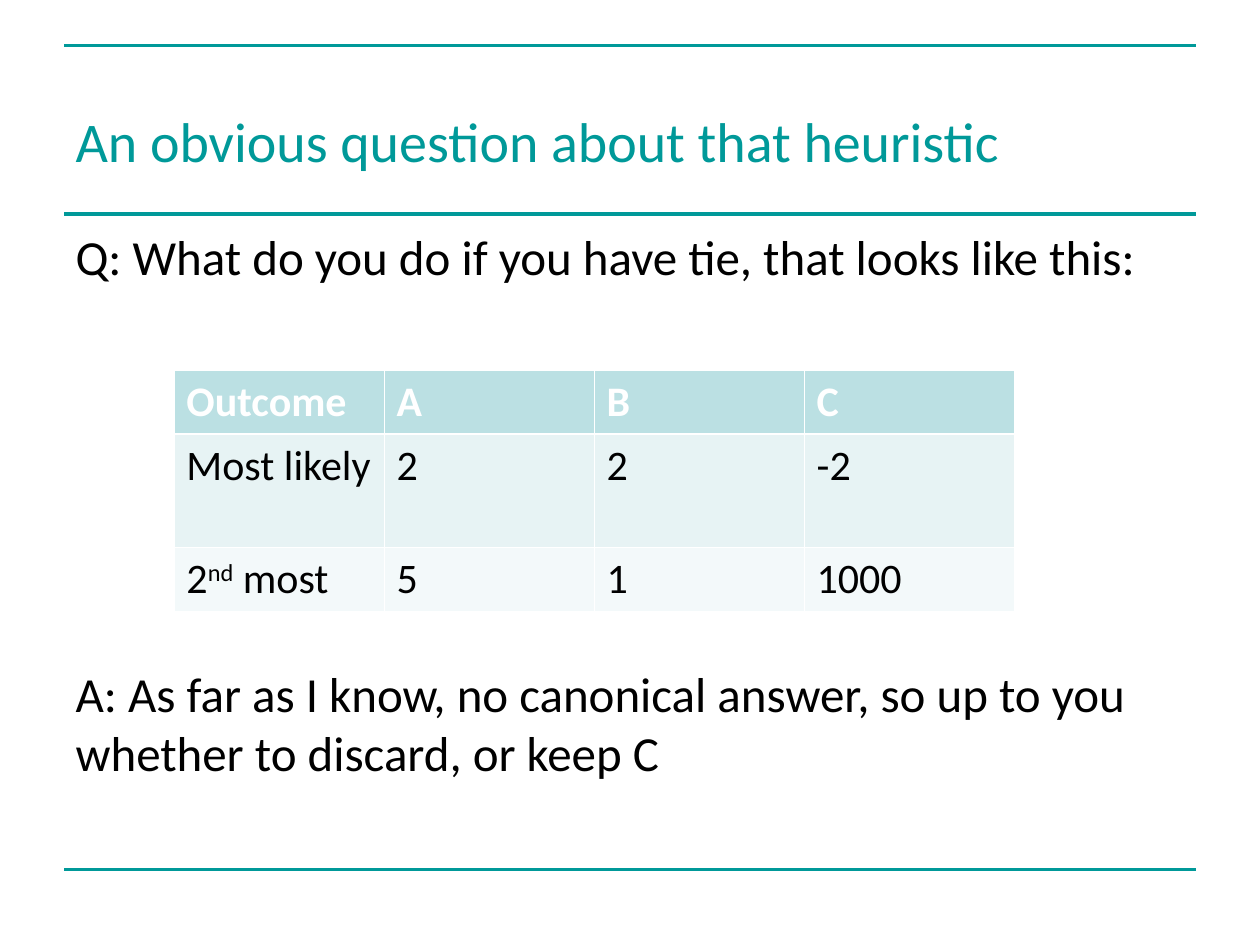
import pptx
import pptx.dml.color
import pptx.enum.shapes
import pptx.enum.text
import pptx.oxml.ns
import pptx.util
from lxml import etree
from pptx.util import Inches

COLORS = {"teal": "009999", "text": "000000", "white": "FFFFFF",
          "header": "BBE0E3", "most_likely": "E7F3F4", "second_most": "F3F9FA"}
qn = pptx.oxml.ns.qn


def rgb(name):
    return pptx.dml.color.RGBColor.from_string(COLORS[name])


def style(paragraph, size, color, bold=False):
    for run in paragraph.runs:
        run.font.name = "Calibri"
        run.font.size = pptx.util.Pt(size)
        run.font.bold = bold
        run.font.color.rgb = rgb(color)


deck = pptx.Presentation()
deck.slide_width, deck.slide_height = Inches(10), Inches(7.5)
slide = deck.slides.add_slide(deck.slide_layouts[1])

# Horizontal rules
for y in (0.36, 1.7, 6.9):
    rule = slide.shapes.add_connector(
        pptx.enum.shapes.MSO_CONNECTOR.STRAIGHT,
        Inches(0.51), Inches(y), Inches(9.49), Inches(y))
    rule.line.color.rgb = rgb("teal")
    rule.line.width = pptx.util.Pt(2)
    etree.SubElement(rule._element.spPr, qn("a:effectLst"))

# Title
title = slide.shapes.title
title.left, title.top = Inches(0.5), Inches(0.68)
title.width, title.height = Inches(9), Inches(0.87)
title.text_frame.text = "An obvious question about that heuristic"
title.text_frame.auto_size = pptx.enum.text.MSO_AUTO_SIZE.NONE
title.text_frame.vertical_anchor = pptx.enum.text.MSO_ANCHOR.MIDDLE
heading = title.text_frame.paragraphs[0]
heading.alignment = pptx.enum.text.PP_ALIGN.LEFT
style(heading, 32, "teal")

# Question and answer, with room for the table between them
discussion = slide.placeholders[1]
discussion.left, discussion.top = Inches(0.5), Inches(1.75)
discussion.width, discussion.height = Inches(9), Inches(4.95)
discussion.text_frame.auto_size = pptx.enum.text.MSO_AUTO_SIZE.NONE
question = discussion.text_frame.paragraphs[0]
question.text = "Q: What do you do if you have tie, that looks like this:"
answer = discussion.text_frame.add_paragraph()
answer.text = ("A: As far as I know, no canonical answer, "
               "so up to you whether to discard, or keep C")
for paragraph, gap in ((question, 0), (answer, 216)):
    paragraph.space_before = pptx.util.Pt(gap)
    properties = paragraph._p.get_or_add_pPr()
    properties.set("marL", "0")
    properties.set("indent", "0")
    etree.SubElement(properties, qn("a:buNone"))
    style(paragraph, 28, "text")

# Outcome table: each cell is a list of runs
outcome_rows = [
    ("header", 0.5, [["Outcome"], ["A"], ["B"], ["C"]]),
    ("most_likely", 0.9, [["Most likely"], ["2"], ["2"], ["-2"]]),
    ("second_most", 0.5, [["2", "nd", " most"], ["5"], ["1"], ["1000"]]),
]
outcomes = slide.shapes.add_table(
    3, 4, Inches(1.38), Inches(2.94), Inches(6.67), Inches(1.9)).table
for column in outcomes.columns:
    column.width = Inches(6.67 / 4)

for r, (fill, height, entries) in enumerate(outcome_rows):
    outcomes.rows[r].height = Inches(height)
    for c, entry in enumerate(entries):
        cell = outcomes.cell(r, c)
        paragraph = cell.text_frame.paragraphs[0]
        for part in entry:
            run = paragraph.add_run()
            run.text = part
            if part == "nd":
                run._r.get_or_add_rPr().set("baseline", "30000")
        style(paragraph, 24, "white" if r == 0 else "text", bold=r == 0)

        # White borders, thicker below the header
        for side in ("L", "R", "T", "B"):
            thick = (r, side) in ((0, "B"), (1, "T"))
            width = pptx.util.Pt(1.47 if thick else 0.45)
            border = etree.SubElement(cell._tc.get_or_add_tcPr(),
                                      qn("a:ln" + side), w=str(int(width)))
            paint = etree.SubElement(border, qn("a:solidFill"))
            etree.SubElement(paint, qn("a:srgbClr"), val=COLORS["white"])
        cell.fill.solid()
        cell.fill.fore_color.rgb = rgb(fill)

deck.save("out.pptx")
